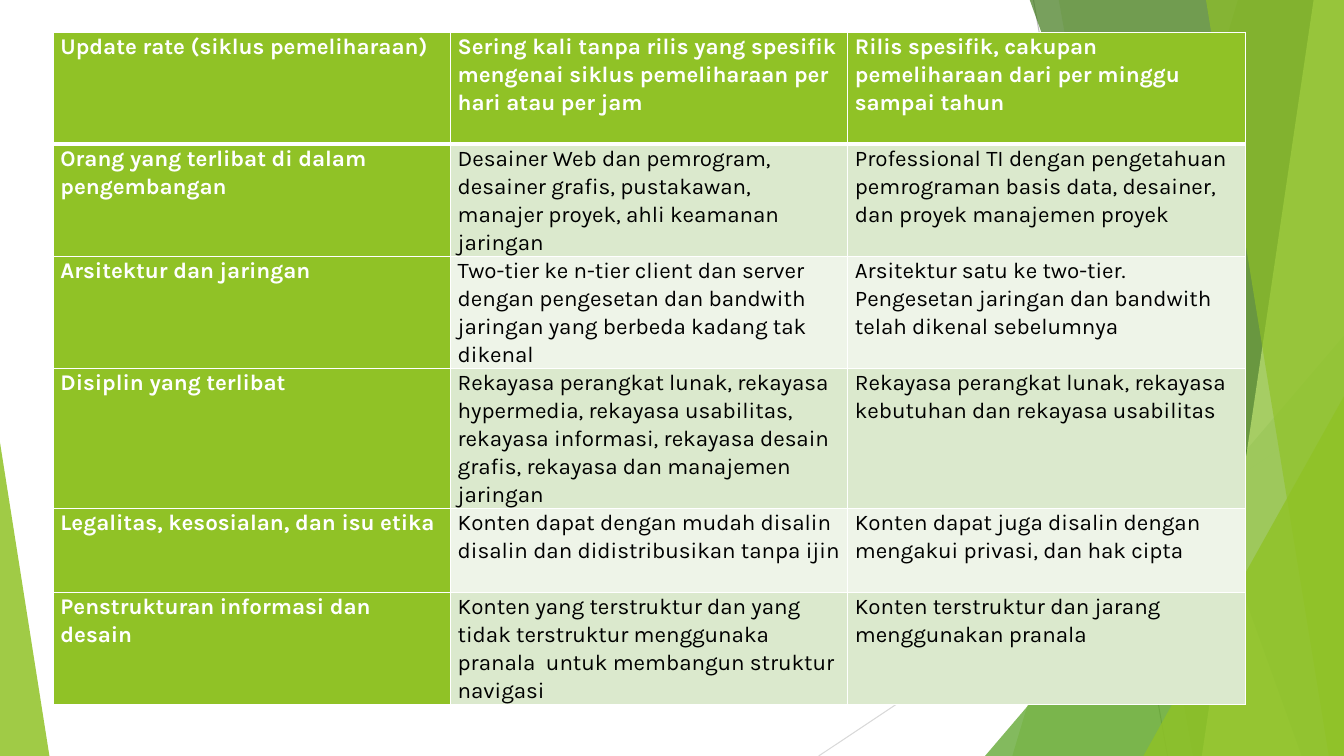
from dataclasses import dataclass

from lxml.etree import SubElement
from pptx import Presentation
from pptx.dml.color import RGBColor
from pptx.enum.shapes import MSO_CONNECTOR as Connector, MSO_SHAPE as Preset
from pptx.oxml import parse_xml
from pptx.oxml.ns import nsdecls, qn
from pptx.util import Inches, Pt

WIDTH, HEIGHT = 13.33, 7.5
GREEN, WHITE, BLACK = "90C226", "FFFFFF", "000000"
BANDS = ["DBE9CD", "EEF4E8"]
COLUMN_WIDTH = 3.94
ROW_HEIGHTS = [1.11, 1.11, 1.11, 1.39, 0.83, 1.11]


@dataclass
class Ray:
    start: tuple[float, float]
    end: tuple[float, float]
    color: str


@dataclass
class Blade:
    top_x: float
    bottom_x: float
    color: str
    opacity: int


@dataclass
class Wedge:
    left: float
    top: float
    width: float
    apex: float
    color: str
    opacity: int


@dataclass
class Aspect:
    name: str
    web: str
    traditional: str


DECOR = [
    Ray((10.25, 0), (11.58, HEIGHT), "BFBFBF"),
    Ray((WIDTH, 4.03), (8.12, HEIGHT), "D9D9D9"),
    Blade(12.28, 10.04, GREEN, 30),
    Blade(10.5, 11.83, GREEN, 20),
    Wedge(9.77, 3.33, 3.56, 1, "54A021", 72),
    Blade(10.21, 12.91, "3F7819", 70),
    Blade(13.03, 11.92, "C0E474", 70),
    Blade(11.96, 13.18, GREEN, 65),
    Wedge(11.34, 3.93, 1.99, 1, GREEN, 80),
    Wedge(0, 4.39, 0.49, 0, GREEN, 85),
]

ASPECTS = [
    Aspect("Update rate (siklus pemeliharaan)",
           "Sering kali tanpa rilis yang spesifik mengenai siklus pemeliharaan per hari atau per jam",
           "Rilis spesifik, cakupan pemeliharaan dari per minggu sampai tahun"),
    Aspect("Orang yang terlibat di dalam pengembangan",
           "Desainer Web dan pemrogram, desainer grafis, pustakawan, manajer proyek, ahli keamanan jaringan",
           "Professional TI dengan pengetahuan pemrograman basis data, desainer, dan proyek manajemen proyek"),
    Aspect("Arsitektur dan jaringan",
           "Two-tier ke n-tier client dan server dengan pengesetan dan bandwith jaringan yang berbeda "
           "kadang tak dikenal",
           "Arsitektur satu ke two-tier. Pengesetan jaringan dan bandwith telah dikenal sebelumnya"),
    Aspect("Disiplin yang terlibat",
           "Rekayasa perangkat lunak, rekayasa hypermedia, rekayasa usabilitas, rekayasa informasi, "
           "rekayasa desain grafis, rekayasa dan manajemen jaringan",
           "Rekayasa perangkat lunak, rekayasa kebutuhan dan rekayasa usabilitas"),
    Aspect("Legalitas, kesosialan, dan isu etika",
           "Konten dapat dengan mudah disalin disalin dan didistribusikan tanpa ijin",
           "Konten dapat juga disalin dengan mengakui privasi, dan hak cipta"),
    Aspect("Penstrukturan informasi dan desain",
           "Konten yang terstruktur dan yang tidak terstruktur menggunaka  pranala  untuk membangun "
           "struktur navigasi",
           "Konten terstruktur dan jarang menggunakan pranala"),
]


def paint(target, color: str) -> None:
    target.solid()
    target.fore_color.rgb = RGBColor.from_string(color)


def tint(shape, color: str, opacity: int) -> None:
    shape.shadow.inherit = False
    shape.line.fill.background()
    paint(shape.fill, color)
    rgb = shape.fill._xPr.find(qn("a:solidFill"))[0]
    SubElement(rgb, qn("a:alpha"), val=str(opacity * 1000))


def draw_ray(slide, ray: Ray) -> None:
    ends = [Inches(value) for value in (*ray.start, *ray.end)]
    line = slide.shapes.add_connector(Connector.STRAIGHT, *ends)
    paint(line.line.fill, ray.color)
    line.line.width = Pt(0.75)
    SubElement(line._element.spPr, qn("a:effectLst"))


def draw_blade(slide, blade: Blade) -> None:
    corners = [(blade.top_x, -0.01), (WIDTH, -0.01), (WIDTH, HEIGHT), (blade.bottom_x, HEIGHT)]
    first, *rest = [(Inches(x), Inches(y)) for x, y in corners]
    outline = slide.shapes.build_freeform(*first)
    outline.add_line_segments(rest, close=True)
    tint(outline.convert_to_shape(), blade.color, blade.opacity)


def draw_wedge(slide, wedge: Wedge) -> None:
    triangle = slide.shapes.add_shape(
        Preset.ISOSCELES_TRIANGLE, Inches(wedge.left), Inches(wedge.top),
        Inches(wedge.width), Inches(HEIGHT - wedge.top))
    triangle.adjustments[0] = wedge.apex
    tint(triangle, wedge.color, wedge.opacity)


def write(cell, text: str, *, color: str, bold: bool, size: float = 16,
          face: str = "Karla", spacing: float = 1.07) -> None:
    cell.margin_left = cell.margin_right = Inches(0.07)
    cell.margin_top = cell.margin_bottom = 0
    paragraph = cell.text_frame.paragraphs[0]
    paragraph.line_spacing = spacing
    run = paragraph.add_run()
    run.text = text
    run.font.name, run.font.size, run.font.bold = face, Pt(size), bold
    run.font.color.rgb = RGBColor.from_string(color)


def add_borders(cell, *, top: float, bottom: float) -> None:
    sides = {"lnL": 1, "lnR": 1, "lnT": top, "lnB": bottom}
    for place, (side, width) in enumerate(sides.items()):
        cell._tc.get_or_add_tcPr().insert(place, parse_xml(
            f'<a:{side} {nsdecls("a")} w="{Pt(width)}"><a:solidFill>'
            f'<a:srgbClr val="{WHITE}"/></a:solidFill></a:{side}>'))


def draw_comparison(slide, aspects: list[Aspect]) -> None:
    comparison = slide.shapes.add_table(
        len(aspects), 3, Inches(0.53), Inches(0.32),
        Inches(3 * COLUMN_WIDTH), Inches(sum(ROW_HEIGHTS))).table
    for column in comparison.columns:
        column.width = Inches(COLUMN_WIDTH)
    for r, (aspect, height) in enumerate(zip(aspects, ROW_HEIGHTS)):
        comparison.rows[r].height = Inches(height)
        for c, text in enumerate((aspect.name, aspect.web, aspect.traditional)):
            cell = comparison.cell(r, c)
            heading = r == 0 or c == 0
            write(cell, text, color=WHITE if heading else BLACK, bold=heading)
            paint(cell.fill, GREEN if heading else BANDS[(r - 1) % 2])
            add_borders(cell, top=3 if r == 1 else 1, bottom=3 if r == 0 else 1)


def main() -> None:
    deck = Presentation()
    deck.slide_width, deck.slide_height = Inches(WIDTH), Inches(HEIGHT)
    slide = deck.slides.add_slide(deck.slide_layouts[6])
    painters = {Ray: draw_ray, Blade: draw_blade, Wedge: draw_wedge}
    for piece in DECOR:
        painters[type(piece)](slide, piece)
    draw_comparison(slide, ASPECTS)
    deck.save("out.pptx")


if __name__ == "__main__":
    main()
